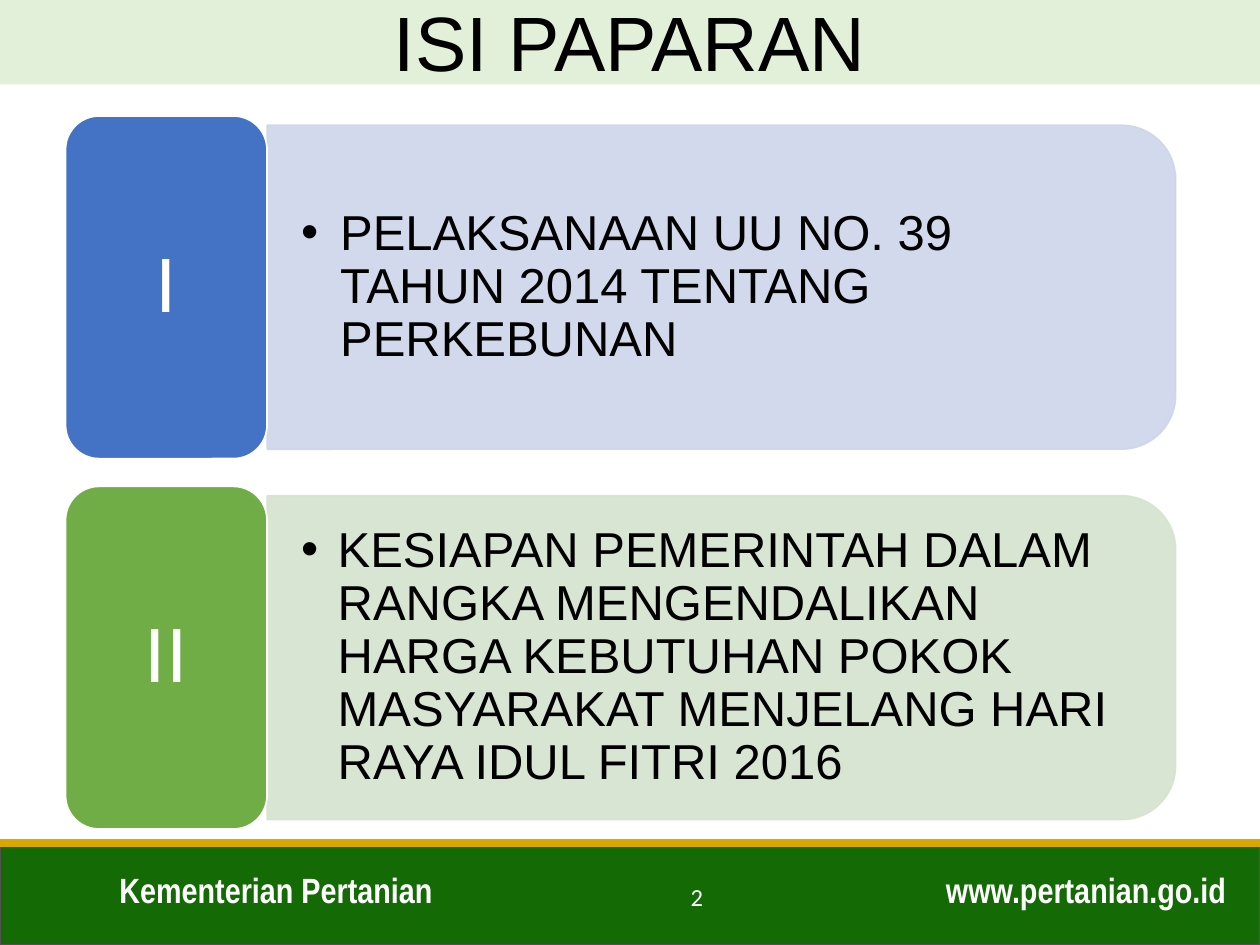
"""Build the agenda slide: a title, two numbered topics and a footer."""
from lxml import etree
from pptx import Presentation
from pptx.dml.color import RGBColor
from pptx.enum.shapes import MSO_CONNECTOR, MSO_SHAPE
from pptx.enum.text import MSO_ANCHOR, PP_ALIGN
from pptx.oxml.ns import qn
from pptx.util import Inches, Pt

RECT, ROUND = MSO_SHAPE.RECTANGLE, MSO_SHAPE.ROUNDED_RECTANGLE
TAB = MSO_SHAPE.ROUND_2_SAME_RECTANGLE
LEFT, MID, RIGHT = PP_ALIGN.LEFT, PP_ALIGN.CENTER, PP_ALIGN.RIGHT
TOP, CENTER = MSO_ANCHOR.TOP, MSO_ANCHOR.MIDDLE

WHITE, BLACK = RGBColor(255, 255, 255), RGBColor(0, 0, 0)
BLUE, PALE_BLUE = RGBColor(0x44, 0x72, 0xC4), RGBColor(0xCF, 0xD5, 0xEA)
LEAF, PALE_LEAF = RGBColor(0x70, 0xAD, 0x47), RGBColor(0xD5, 0xE3, 0xCF)
MINT, GREEN = RGBColor(0xE2, 0xF0, 0xD9), RGBColor(0x14, 0x6B, 0x05)
GOLD, GRAY = RGBColor(0xDA, 0xA6, 0x00), RGBColor(0x52, 0x52, 0x52)

TITLE = "ISI PAPARAN"
TOPICS = [
    ("I", "PELAKSANAAN UU NO. 39 TAHUN 2014 TENTANG PERKEBUNAN",
     BLUE, PALE_BLUE, 0.31),
    ("II", "KESIAPAN PEMERINTAH DALAM RANGKA MENGENDALIKAN HARGA KEBUTUHAN "
     "POKOK MASYARAKAT MENJELANG HARI RAYA IDUL FITRI 2016",
     LEAF, PALE_LEAF, 0.29),
]
FOOTER = [
    ("Kementerian Pertanian", (0.85, 6.84, 3.66, 0.44), LEFT),
    ("www.pertanian.go.id", (7.05, 6.84, 2.78, 0.44), RIGHT),
]
PAGE = "2"

WIDE, HIGH = 10, 7.5
FOOT = 6.69
TAG_X, TAG_Y, TAG_W, TAG_H = 0.52, 0.92, 1.6, 2.72
STEP = 2.94
PANEL_X, PANEL_W, PANEL_H = TAG_X + TAG_W, 7.21, 2.57
TEXT_W, TEXT_H = 7.09, 2.32


def place(box):
    return [Inches(n) for n in box]


def fade(shape):
    for color in shape.element.spPr.iter(qn("a:srgbClr")):
        etree.SubElement(color, qn("a:alpha"), val="90000")


def draw(slide, kind, box, fill, line=None):
    shape = slide.shapes.add_shape(kind, *place(box))
    shape.shadow.inherit = False
    shape.fill.solid()
    shape.fill.fore_color.rgb = fill
    if line is None:
        shape.line.fill.background()
    else:
        shape.line.color.rgb = line
        shape.line.width = Pt(1)
    return shape


def write(shape, text, size, color=WHITE, font="Arial", align=MID,
          anchor=CENTER, pad=(0.1, 0.05), bold=False, space=1):
    frame = shape.text_frame
    frame.word_wrap = True
    frame.vertical_anchor = anchor
    frame.margin_left = frame.margin_right = Inches(pad[0])
    frame.margin_top = frame.margin_bottom = Inches(pad[1])
    para = frame.paragraphs[0]
    para.alignment = align
    para.line_spacing = space
    run = para.add_run()
    run.text = text
    run.font.size, run.font.name, run.font.bold = Pt(size), font, bold
    run.font.color.rgb = color
    return para


def bullet(para, hang):
    props = para._p.get_or_add_pPr()
    props.set("marL", str(Inches(hang)))
    props.set("indent", str(-Inches(hang)))
    etree.SubElement(props, qn("a:buFont"), typeface="Arial")
    etree.SubElement(props, qn("a:buChar"), char="•")


def add_foot(slide):
    draw(slide, RECT, (0, FOOT, WIDE, HIGH - FOOT), GREEN, GRAY)
    for text, box, align in FOOTER:
        write(slide.shapes.add_textbox(*place(box)), text, 20,
              font="Arial Narrow", align=align, anchor=TOP, bold=True)
    rule = slide.shapes.add_connector(
        MSO_CONNECTOR.STRAIGHT, *place((0, FOOT, WIDE, FOOT)))
    rule.line.color.rgb = GOLD
    rule.line.width = Pt(4.5)
    etree.SubElement(rule.element.spPr, qn("a:effectLst"))


def add_topic(slide, row, topic):
    mark, text, dark, pale, hang = topic
    top = TAG_Y + row * STEP
    mid = top + TAG_H / 2
    panel = draw(slide, TAB, (PANEL_X + (PANEL_W - PANEL_H) / 2,
                              mid - PANEL_W / 2, PANEL_H, PANEL_W), pale, pale)
    panel.rotation = 90
    fade(panel)
    body = slide.shapes.add_textbox(
        *place((PANEL_X, mid - TEXT_H / 2, TEXT_W, TEXT_H)))
    para = write(body, text, 28, BLACK, align=LEFT, pad=(0.27, 0.14), space=0.9)
    bullet(para, hang)
    tag = draw(slide, ROUND, (TAG_X, top, TAG_W, TAG_H), dark, WHITE)
    write(tag, mark, 44, pad=(0.18, 0.09), space=0.9)


def main():
    deck = Presentation()
    deck.slide_width, deck.slide_height = Inches(WIDE), Inches(HIGH)
    slide = deck.slides.add_slide(deck.slide_layouts[6])
    add_foot(slide)
    for row, topic in enumerate(TOPICS):
        add_topic(slide, row, topic)
    write(draw(slide, RECT, (0, -0.03, WIDE, 0.7), MINT), TITLE, 44, BLACK)
    page = slide.shapes.add_textbox(*place((5.28, 6.95, 0.5, 0.43)))
    write(page, PAGE, 14, font="Calibri", anchor=TOP)
    deck.save("out.pptx")


if __name__ == "__main__":
    main()
